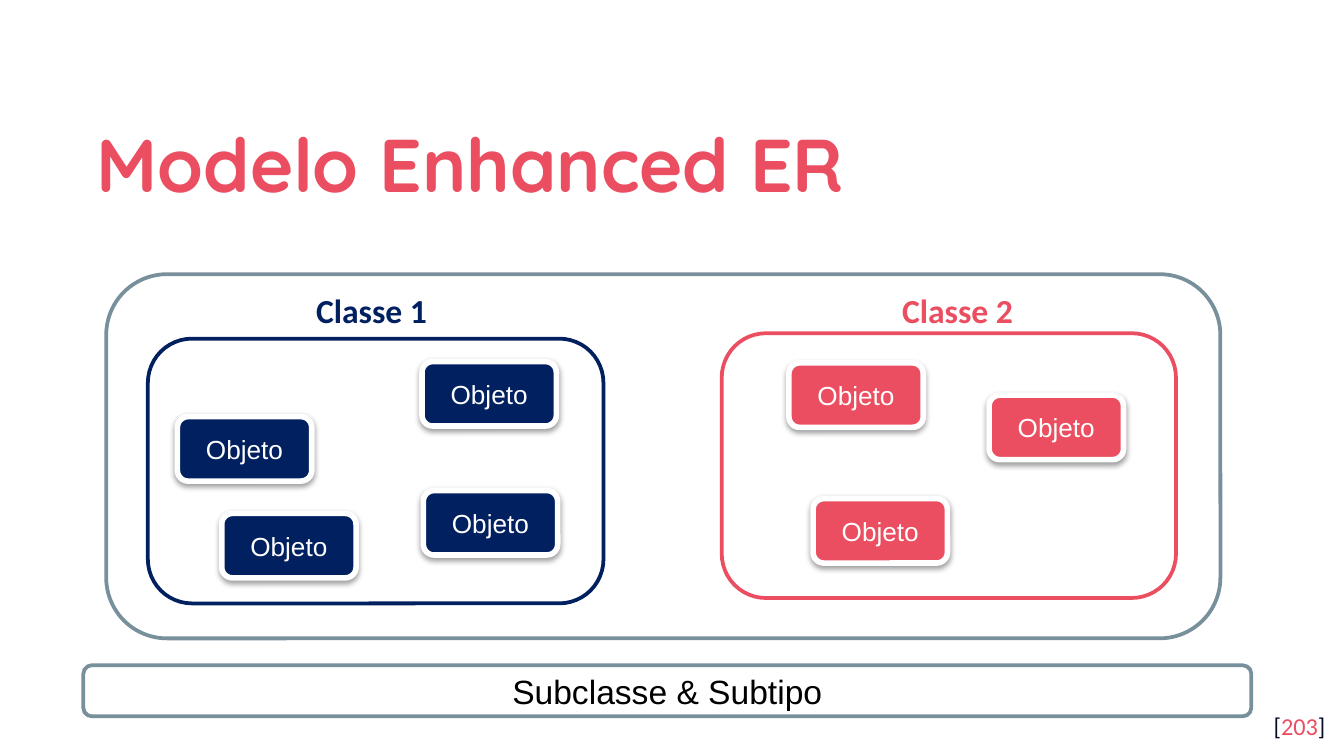
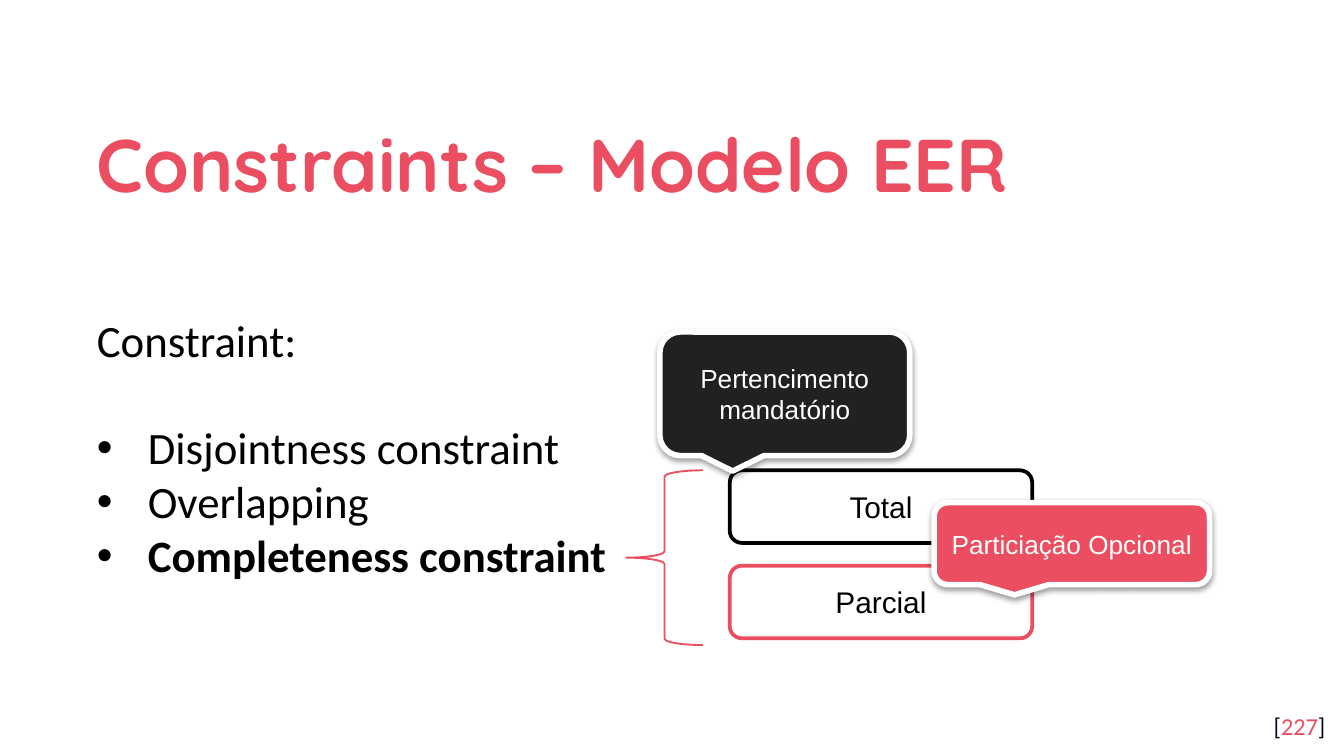
from lxml import etree
from pptx import Presentation
from pptx.dml.color import RGBColor
from pptx.enum.shapes import MSO_SHAPE
from pptx.enum.text import MSO_ANCHOR, MSO_AUTO_SIZE, PP_ALIGN
from pptx.oxml import parse_xml
from pptx.oxml.ns import nsdecls, qn
from pptx.util import Inches, Pt

# A 16:9 slide on a grid of square cells, 100 columns wide
WIDE = Inches(10)
HIGH = WIDE * 9 // 16
COL, ROW = WIDE / 100, HIGH / 56.25

ROUND, BRACE = MSO_SHAPE.ROUNDED_RECTANGLE, MSO_SHAPE.LEFT_BRACE
CALL = MSO_SHAPE.ROUNDED_RECTANGULAR_CALLOUT
LEFT, MID, RIGHT = PP_ALIGN.LEFT, PP_ALIGN.CENTER, PP_ALIGN.RIGHT
TOP, CENTRE = MSO_ANCHOR.TOP, MSO_ANCHOR.MIDDLE
FIXED = MSO_AUTO_SIZE.NONE

# Colours and fonts
RED = RGBColor(0xEA, 0x4E, 0x60)
NAVY = RGBColor(0x00, 0x20, 0x60)
INK = RGBColor(0x04, 0x0A, 0x24)
GREY = RGBColor(0x78, 0x90, 0x9C)
DARK = RGBColor(0x21, 0x21, 0x21)
BLACK = RGBColor(0, 0, 0)
WHITE = RGBColor(0xFF, 0xFF, 0xFF)
HEAD, BODY, LABEL = "Quicksand", "Calibri", "Arial"


def place(col, row, cols, rows):
    return [round(v) for v in (col * COL, row * ROW, cols * COL, rows * ROW)]


def move(shape, box):
    shape.left, shape.top, shape.width, shape.height = place(*box)


def style(para, face, size, color=None, bold=False, align=LEFT):
    para.alignment = align
    font = para.font
    font.name, font.size, font.bold = face, Pt(size), bold
    if color is not None:
        font.color.rgb = color


def frame(shape, anchor, pad=0.1, edge=0.1):
    text = shape.text_frame
    text.word_wrap, text.auto_size = True, FIXED
    text.vertical_anchor = anchor
    text.margin_left = text.margin_right = Inches(pad)
    text.margin_top = text.margin_bottom = Inches(edge)
    return text


def shade(shape):
    props = shape._element.spPr
    props.remove(props.find(qn("a:effectLst")))
    props.append(parse_xml(
        f'<a:effectLst {nsdecls("a")}><a:outerShdw blurRad="40000" '
        'dist="20000" dir="5400000" rotWithShape="0"><a:srgbClr val="000000">'
        '<a:alpha val="38000"/></a:srgbClr></a:outerShdw></a:effectLst>'))


def draw(shapes, kind, box, line, fill=None, weight=2):
    shape = shapes.add_shape(kind, *place(*box))
    shape.shadow.inherit = False
    if fill is None:
        shape.fill.background()
    else:
        shape.fill.solid()
        shape.fill.fore_color.rgb = fill
    shape.line.color.rgb = line
    shape.line.width = Pt(weight)
    return shape


def write(shape, text, size, color, pad=0.1):
    para = frame(shape, CENTRE, pad, 0.05).paragraphs[0]
    para.text = text
    style(para, LABEL, size, color, align=MID)


def framebox(shapes, box, line, text, size):
    write(draw(shapes, ROUND, box, line, WHITE), text, size, BLACK)


def badge(shapes, kind, box, fill, text):
    """Filled label with a white rim and a soft shadow."""
    shape = draw(shapes, kind, box, WHITE, fill, 3)
    shade(shape)
    write(shape, text, 14, WHITE, 0.05)


def start(deck, layout, title, number):
    """New slide with its title and page number."""
    slide = deck.slides.add_slide(deck.slide_layouts[layout])
    head = slide.shapes.title
    move(head, (6.2, 7, 87.7, 9.2))
    para = frame(head, CENTRE).paragraphs[0]
    para.text = title
    para.line_spacing = 1.15
    style(para, HEAD, 40, RED, True)

    page = slide.shapes.add_textbox(*place(93.6, 51.95, 6, 4.3))
    para = frame(page, TOP).paragraphs[0]
    style(para, BODY, 13, align=RIGHT)
    for part, color in (("[", INK), (number, RED), ("]", INK)):
        run = para.add_run()
        run.text = part
        run.font.color.rgb = color
    return slide


def indent(para, depth):
    props = para._p.get_or_add_pPr()
    props.set("marL", str(Inches(depth)))
    props.set("indent", str(-Inches(depth)))
    return props


def plain(para):
    etree.SubElement(indent(para, 0), qn("a:buNone"))


def bullet(para):
    props = indent(para, 0.38)
    tint = etree.SubElement(props, qn("a:buClr"))
    etree.SubElement(tint, qn("a:srgbClr"), val=str(BLACK))
    etree.SubElement(props, qn("a:buFont"), typeface=LABEL)
    etree.SubElement(props, qn("a:buChar"), char="•")


def listing(slide, lead, items):
    """Lead line, a gap of one line, then bullets; the last is bold."""
    body = slide.placeholders[1]
    move(body, (6.2, 16.2, 88, 34.1))
    text = frame(body, CENTRE)
    for i, words in enumerate([lead] + items):
        para = text.add_paragraph() if i else text.paragraphs[0]
        para.text = words
        para.space_before = Pt(29 if i == 1 else 0)
        if i:
            bullet(para)
        else:
            plain(para)
        style(para, BODY, 24, BLACK, i == len(items))


def group(shapes, name, left, ring, color, spots):
    """Class outline with its name above and its objects inside."""
    for col, row in spots:
        badge(shapes, ROUND, (col, row, 10, 4.8), color, "Objeto")
    draw(shapes, ROUND, ring, color)
    label = shapes.add_textbox(*place(left, 21.1, 22.3, 4))
    para = frame(label, TOP, 0.1, 0.05).paragraphs[0]
    para.text = name
    style(para, BODY, 18, color, True, MID)


def classes(deck):
    shapes = start(deck, 5, "Modelo Enhanced ER", "203").shapes
    framebox(shapes, (6.2, 49.5, 86.9, 3.8), GREY, "Subclasse & Subtipo", 18)
    draw(shapes, ROUND, (7.9, 20.4, 82.9, 27.1), GREY, WHITE)
    group(shapes, "Classe 1", 16.5, (11, 25.2, 33.9, 19.7), NAVY,
          [(31.4, 26.9), (31.5, 36.5), (13.2, 31), (16.5, 38.2)])
    group(shapes, "Classe 2", 60.1, (53.7, 24.8, 33.8, 19.7), RED,
          [(58.7, 27), (60.5, 37.1), (73.6, 29.4)])


def limits(deck):
    slide = start(deck, 1, "Constraints – Modelo EER", "227")
    listing(slide, "Constraint:", ["Disjointness constraint", "Overlapping",
                                   "Completeness constraint"])
    shapes = slide.shapes
    # Brace with its two options
    inner = shapes.add_group_shape().shapes
    draw(inner, BRACE, (46.6, 35, 5.7, 13), RED, weight=1)
    for i, (name, color) in enumerate((("Total", BLACK), ("Parcial", RED))):
        framebox(inner, (54.3, 35 + 7.1 * i, 22.5, 5.4), color, name, 16)
    # Callouts
    badge(shapes, CALL, (49.1, 24.7, 18.6, 9.2), DARK,
          "Pertencimento mandatório")
    badge(shapes, CALL, (69.5, 37.4, 20.5, 6.1), RED, "Particiação Opcional")


def main():
    deck = Presentation()
    deck.slide_width, deck.slide_height = WIDE, HIGH
    classes(deck)
    limits(deck)
    deck.save("out.pptx")


if __name__ == "__main__":
    main()
